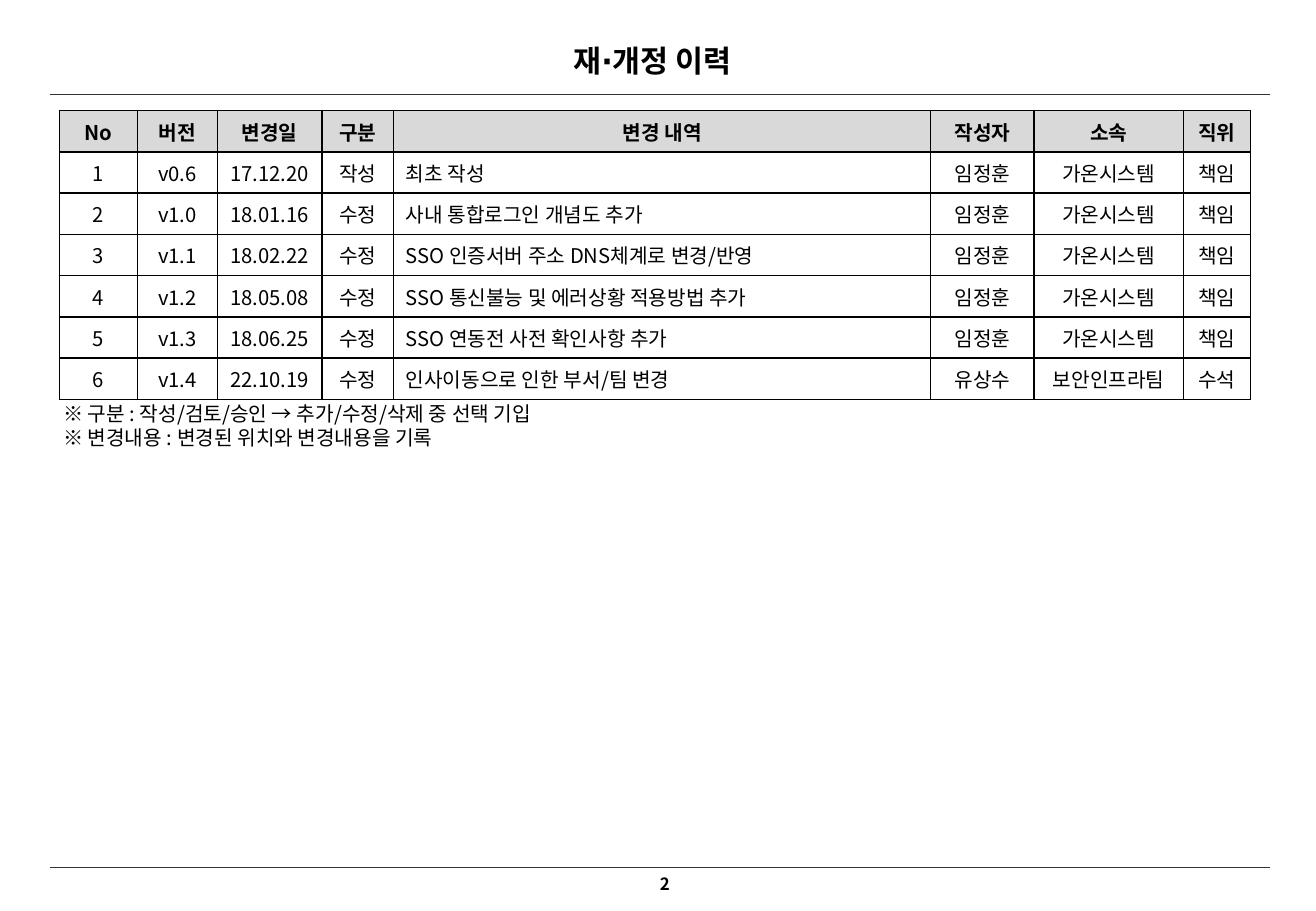
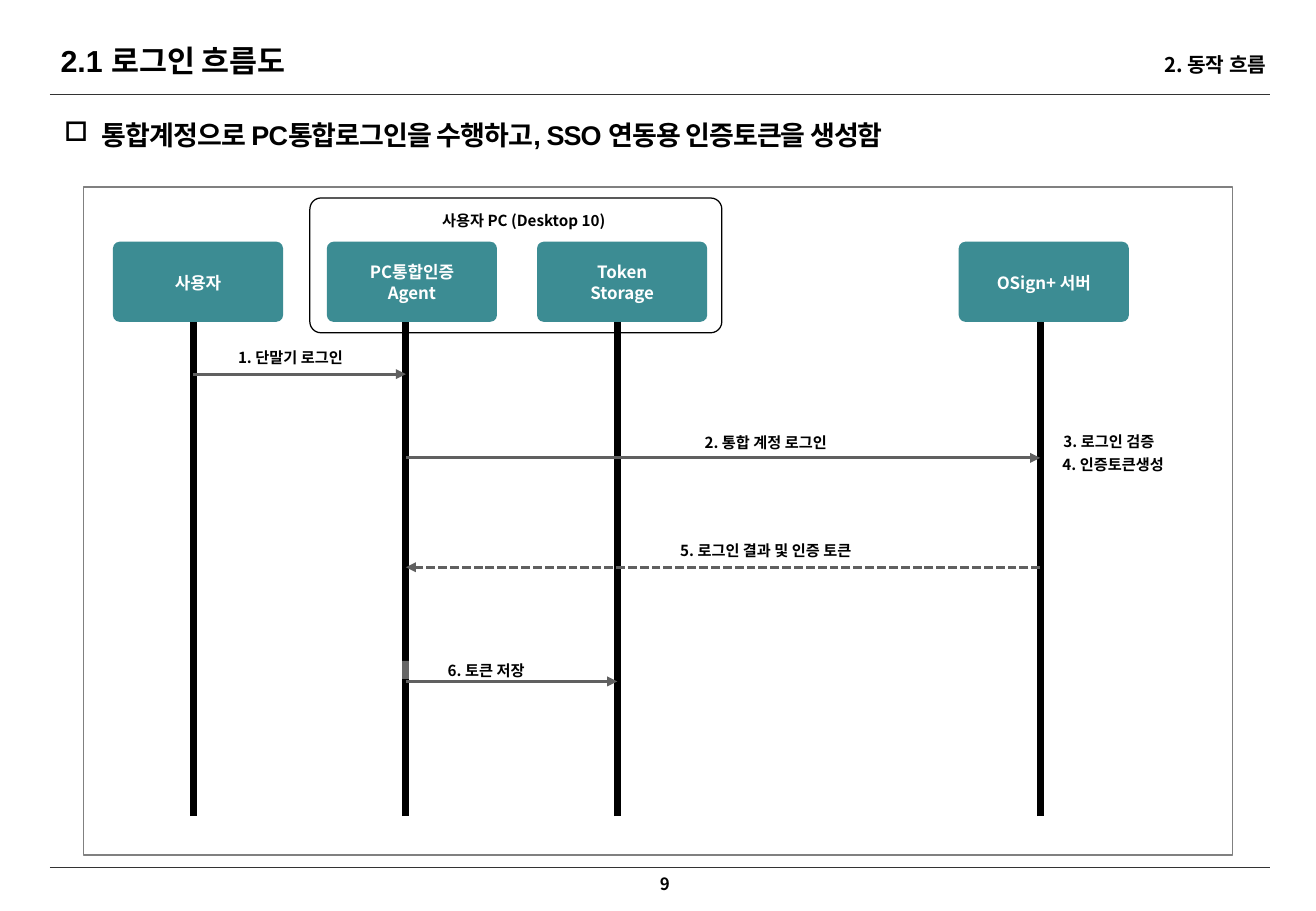
"""Build the revision history and login flow slides of an SSO guide."""
from lxml import etree
from pptx import Presentation
from pptx import util as u
from pptx.dml.color import RGBColor
from pptx.enum import dml, shapes, text
from pptx.oxml.ns import qn

PX = 9144
SANS, ARIAL = "Noto Sans CJK KR", "Arial"
COLORS = {"black": "000000", "white": "FFFFFF", "rule": "333333", "header": "D9D9D9",
          "teal": "3C8C93", "arrow": "606060", "frame": "808080"}
LEFT, CENTER, RIGHT = text.PP_ALIGN.LEFT, text.PP_ALIGN.CENTER, text.PP_ALIGN.RIGHT
TOP, MIDDLE, BOTTOM = text.MSO_ANCHOR.TOP, text.MSO_ANCHOR.MIDDLE, text.MSO_ANCHOR.BOTTOM


def write(holder, content, size=12, color="black", bold=True, font=SANS, align=LEFT, anchor=TOP,
          insets=(10, 5), spacing=None, wrap=True, bullet=None, tracking=None):
    """Put lines of text in a shape, a table cell or a new text box at (slide, left, top, width, height)."""
    if isinstance(holder, tuple):
        slide, *place = holder
        holder = slide.shapes.add_textbox(*[n * PX for n in place])
    frame = holder.text_frame
    across, down = [n * PX for n in insets]
    owner = frame if hasattr(holder, "shape_type") else holder
    owner.margin_left = owner.margin_right = across
    owner.margin_top = owner.margin_bottom = down
    owner.vertical_anchor = anchor
    frame.word_wrap = wrap
    for number, line in enumerate(content.split("\n")):
        para = frame.add_paragraph() if number else frame.paragraphs[0]
        para.alignment = align
        if spacing:
            para.line_spacing = spacing
        if bullet:
            props = para._p.get_or_add_pPr()
            props.set("marL", str(32 * PX))
            props.set("indent", str(-31 * PX))
            etree.SubElement(props, qn("a:buChar")).set("char", bullet)
        span = para.add_run()
        span.text = line
        span.font.size, span.font.bold, span.font.name = u.Pt(size), bold, font
        span.font.color.rgb = RGBColor.from_string(COLORS[color])
        etree.SubElement(span._r.rPr, qn("a:ea")).set("typeface", SANS)
        if tracking:
            span._r.rPr.set("spc", str(tracking))


def draw_line(slide, x1, y1, x2, y2, color, width, arrow=False, dash=None):
    """Draw a straight line, with an arrowhead at its end on request."""
    line = slide.shapes.add_connector(shapes.MSO_CONNECTOR.STRAIGHT, *[n * PX for n in (x1, y1, x2, y2)])
    line.line.color.rgb = RGBColor.from_string(COLORS[color])
    line.line.width = u.Pt(width)
    if dash:
        line.line.dash_style = dash
    if arrow:
        etree.SubElement(line.line._get_or_add_ln(), qn("a:tailEnd")).set("type", "triangle")
    etree.SubElement(line._element.spPr, qn("a:effectLst"))


deck = Presentation()
deck.slide_width, deck.slide_height = 1083 * PX, 750 * PX
pages = [("재∙개정 이력", (30, 35, 1014, 30), CENTER, "2"),
         ("2.1 로그인 흐름도", (40, 35, 667, 30), LEFT, "9")]
for title, place, align, number in pages:
    page = deck.slides.add_slide(deck.slide_layouts[6])
    for y in (78, 714):
        draw_line(page, 41, y, 1045, y, "rule", 0.5)
    write((page, 522, 714, 39, 27), number, size=10, align=RIGHT, wrap=False)
    write((page, *place), title, size=18, font=ARIAL, align=align, anchor=MIDDLE)
history, flow = deck.slides

rows = [
    ("No", "버전", "변경일", "구분", "변경 내역", "작성자", "소속", "직위"),
    ("1", "v0.6", "17.12.20", "작성", "최초 작성", "임정훈", "가온시스템", "책임"),
    ("2", "v1.0", "18.01.16", "수정", "사내 통합로그인 개념도 추가", "임정훈", "가온시스템", "책임"),
    ("3", "v1.1", "18.02.22", "수정", "SSO 인증서버 주소 DNS체계로 변경/반영", "임정훈", "가온시스템", "책임"),
    ("4", "v1.2", "18.05.08", "수정", "SSO 통신불능 및 에러상황 적용방법 추가", "임정훈", "가온시스템", "책임"),
    ("5", "v1.3", "18.06.25", "수정", "SSO 연동전 사전 확인사항 추가", "임정훈", "가온시스템", "책임"),
    ("6", "v1.4", "22.10.19", "수정", "인사이동으로 인한 부서/팀 변경", "유상수", "보안인프라팀", "수석"),
]
widths = [64, 66, 86, 59, 442, 85, 123, 55]
table = history.shapes.add_table(len(rows), len(widths), 49 * PX, 91 * PX, sum(widths) * PX,
                                 34 * len(rows) * PX).table
table.first_row = table.horz_banding = False
for column, width in zip(table.columns, widths):
    column.width = width * PX
for r, row in enumerate(rows):
    table.rows[r].height = 34 * PX
    for c, value in enumerate(row):
        cell = table.cell(r, c)
        write(cell, value, bold=r == 0, align=LEFT if r and c == 4 else CENTER, anchor=MIDDLE)
        props = cell._tc.get_or_add_tcPr()
        for side in ("lnL", "lnR", "lnT", "lnB"):
            border = etree.SubElement(props, qn("a:" + side))
            border.set("w", str(u.Pt(1)))
            fill = etree.SubElement(border, qn("a:solidFill"))
            etree.SubElement(fill, qn("a:srgbClr")).set("val", COLORS["black"])
        if r == 0:
            cell.fill.solid()
            cell.fill.fore_color.rgb = RGBColor.from_string(COLORS["header"])
        else:
            cell.fill.background()
write((history, 42, 326, 542, 56),
      "※ 구분 : 작성/검토/승인 → 추가/수정/삭제 중 선택 기입\n※ 변경내용 : 변경된 위치와 변경내용을 기록",
      bold=False, spacing=u.Pt(14.2))

write((flow, 613, 38, 439, 30), "2. 동작 흐름", align=RIGHT, anchor=BOTTOM)
write((flow, 42, 87, 1027, 48), "통합계정으로 PC통합로그인을 수행하고, SSO 연동용 인증토큰을 생성함",
      size=16, font=ARIAL, anchor=MIDDLE, bullet="□", tracking=-50)

USER, AGENT, STORAGE, SERVER = 159, 334, 508, 856
participants = [(USER, 93, "사용자"), (AGENT, 269, "PC통합인증\nAgent"),
                (STORAGE, 442, "Token\nStorage"), (SERVER, 789, "OSign+ 서버")]
for x, left, name in participants:
    draw_line(flow, x, 672, x, 248, "black", 4)
    box = flow.shapes.add_shape(shapes.MSO_SHAPE.ROUNDED_RECTANGLE, *[n * PX for n in (left, 199, 140, 66)])
    box.adjustments[0] = 0.083
    box.shadow.inherit = False
    box.fill.solid()
    box.fill.fore_color.rgb = RGBColor.from_string(COLORS["teal"])
    box.line.fill.background()
    write(box, name, size=10, color="white", align=CENTER, anchor=MIDDLE, insets=(4, 4), spacing=u.Pt(12.7))

for start, end, y, dash in [(USER, AGENT, 308, None), (AGENT, SERVER, 377, None),
                            (SERVER, AGENT, 467, dml.MSO_LINE.SQUARE_DOT), (AGENT, STORAGE, 561, None)]:
    draw_line(flow, start, y, end, y, "arrow", 1.75, arrow=True, dash=dash)

veil = flow.shapes.add_shape(shapes.MSO_SHAPE.RECTANGLE, *[n * PX for n in (330, 544, 140, 15)])
veil.shadow.inherit = False
veil.fill.solid()
veil.fill.fore_color.rgb = RGBColor.from_string(COLORS["white"])
etree.SubElement(veil.fill._xPr.find(qn("a:solidFill"))[0], qn("a:alpha")).set("val", "40000")
veil.line.fill.background()
write(veil, "6. 토큰 저장", size=9, align=CENTER, anchor=MIDDLE, insets=(0, 0))

for left, top, width, label in [(131, 287, 216, "1. 단말기 로그인"), (504, 357, 252, "2. 통합 계정 로그인"),
                                (504, 446, 252, "5. 로그인 결과 및 인증 토큰"),
                                (853, 356, 119, "3. 로그인 검증"), (847, 375, 138, "4. 인증토큰생성"),
                                (323, 174, 216, "사용자 PC (Desktop 10)")]:
    write((flow, left, top, width, 15), label, size=9, align=CENTER, anchor=MIDDLE, insets=(0, 0))

for kind, place, color in [(shapes.MSO_SHAPE.RECTANGLE, (69, 154, 945, 550), "frame"),
                           (shapes.MSO_SHAPE.ROUNDED_RECTANGLE, (255, 163, 339, 111), "black")]:
    frame = flow.shapes.add_shape(kind, *[n * PX for n in place])
    if kind == shapes.MSO_SHAPE.ROUNDED_RECTANGLE:
        frame.adjustments[0] = 0.083
    frame.shadow.inherit = False
    frame.fill.background()
    frame.line.color.rgb = RGBColor.from_string(COLORS[color])
    frame.line.width = u.Pt(0.75)

deck.save("out.pptx")
